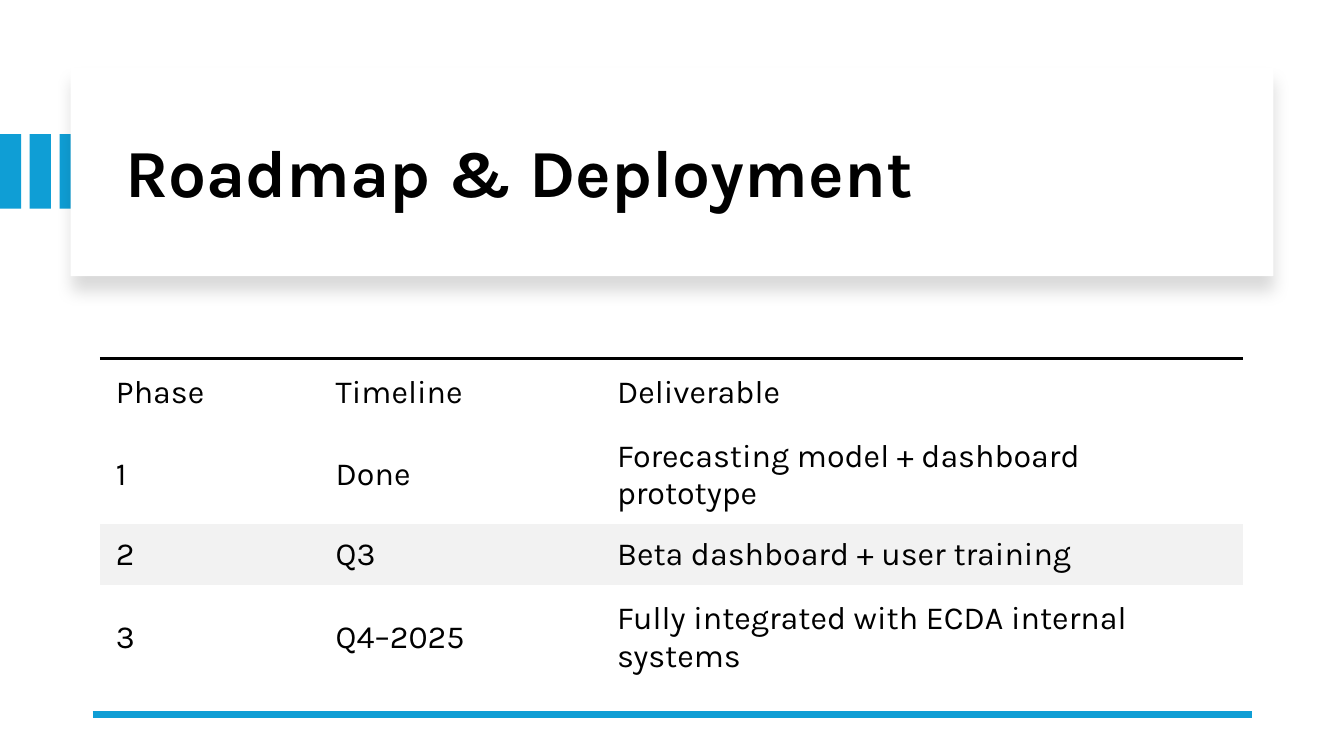
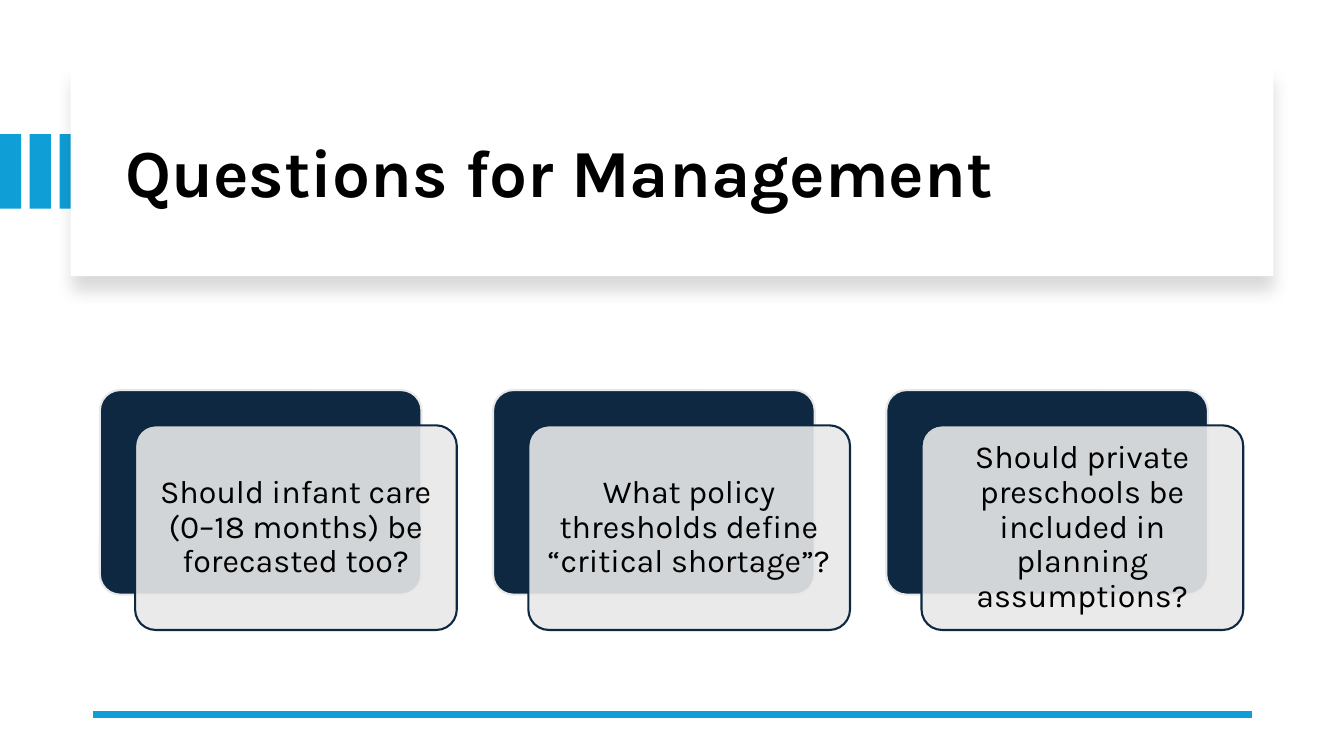
"""Build a roadmap table slide and a management questions slide in one shared frame."""
from lxml.etree import SubElement
from pptx import Presentation
from pptx.dml.color import RGBColor
from pptx.enum.shapes import MSO_CONNECTOR, MSO_SHAPE
from pptx.enum.text import MSO_ANCHOR, MSO_AUTO_SIZE, PP_ALIGN
from pptx.oxml.ns import qn
from pptx.util import Inches, Pt

ROADMAP_TITLE = "Roadmap & Deployment"
ROADMAP = [
    ("Phase", "Timeline", "Deliverable"),
    ("1", "Done", "Forecasting model + dashboard prototype"),
    ("2", "Q3", "Beta dashboard + user training"),
    ("3", "Q4–2025", "Fully integrated with ECDA internal systems"),
]
COLUMN_WIDTHS = (2.18, 2.79, 6.37)
ROW_HEIGHTS = (0.67, 0.67, 0.61, 1.04)
SHADED_ROW = 2

QUESTIONS_TITLE = "Questions for Management"
QUESTIONS = [
    "Should infant care (0–18 months) be forecasted too?",
    "What policy thresholds define “critical shortage”?",
    "Should private preschools be included in planning assumptions?",
]

FONT = "Karla"
BLACK = RGBColor(0x00, 0x00, 0x00)
WHITE = RGBColor(0xFF, 0xFF, 0xFF)
BLUE = RGBColor(0x0F, 0x9E, 0xD5)
NAVY = RGBColor(0x0E, 0x28, 0x41)
CARD_GREY = RGBColor(0xE8, 0xE8, 0xE8)
ROW_GREY = RGBColor(0xF2, 0xF2, 0xF2)

TITLE_SIZE, BODY_SIZE = 48, 23
CONTENT_LEFT = 0.99
STRIPE_COUNT, STRIPE_PITCH = 3, 0.295
CARD_TOP, CARD_PITCH, CARD_OFFSET = 3.87, 3.9, 0.35
CARD_SIZE = (3.19, 2.03)


def add_box(shapes, kind, left, top, width, height, fill, line=None):
    """Add a filled shape without a shadow, outlined only if a line colour is given."""
    box = shapes.add_shape(kind, Inches(left), Inches(top), Inches(width), Inches(height))
    box.shadow.inherit = False
    box.fill.solid()
    box.fill.fore_color.rgb = fill
    if line is None:
        box.line.fill.background()
    else:
        box.line.color.rgb = line
        box.line.width = Pt(1.5)
    return box


def write(frame, text, size, bold=False, align=PP_ALIGN.LEFT, spacing=None):
    """Put one formatted paragraph into a text frame."""
    frame.text = text
    paragraph = frame.paragraphs[0]
    paragraph.alignment = align
    paragraph.line_spacing = spacing
    font = paragraph.runs[0].font
    font.name, font.size, font.bold = FONT, Pt(size), bold
    font.color.rgb = BLACK


def add_soft_shadow(box):
    """Give a panel a faint shadow that falls straight down."""
    effects = box.element.spPr.find(qn("a:effectLst"))
    shadow = SubElement(effects, qn("a:outerShdw"), blurRad=str(Pt(11)), dist=str(Pt(10)),
                        dir="5400000", algn="t", rotWithShape="0")
    color = SubElement(shadow, qn("a:srgbClr"), val=str(BLACK))
    SubElement(color, qn("a:alpha"), val="15000")


def add_page(deck, title_text):
    """Add a slide with stripes, title panel, title and bottom rule."""
    page = deck.slides.add_slide(deck.slide_layouts.get_by_name("Title Only"))
    stripes = page.shapes.add_group_shape()
    for index in range(STRIPE_COUNT):
        add_box(stripes.shapes, MSO_SHAPE.RECTANGLE, index * STRIPE_PITCH, 1.33, 0.21, 0.74, BLUE)
    add_soft_shadow(add_box(page.shapes, MSO_SHAPE.RECTANGLE, 0.7, 0.67, 11.93, 2.07, WHITE))

    title = page.shapes.title
    title.left, title.top = Inches(1.14), Inches(0.89)
    title.width, title.height = Inches(11.13), Inches(1.7)
    title.text_frame.auto_size = MSO_AUTO_SIZE.NONE
    title.text_frame.vertical_anchor = MSO_ANCHOR.MIDDLE
    write(title.text_frame, title_text, TITLE_SIZE, bold=True, spacing=0.9)
    title.element.getparent().append(title.element)

    rule = page.shapes.add_connector(MSO_CONNECTOR.STRAIGHT, Inches(0.92), Inches(7.09),
                                     Inches(12.42), Inches(7.09))
    rule.line.color.rgb = BLUE
    rule.line.width = Pt(4.5)
    SubElement(rule.element.spPr, qn("a:effectLst"))
    return page


def add_top_border(cell):
    """Draw a black line along the top of a table cell."""
    properties = cell._tc.get_or_add_tcPr()
    border = properties.makeelement(qn("a:lnT"), {"w": str(Pt(2.25))})
    fill = SubElement(border, qn("a:solidFill"))
    SubElement(fill, qn("a:srgbClr"), val=str(BLACK))
    properties.insert(0, border)


def add_roadmap(page):
    """Add the roadmap table with a top rule and one shaded row."""
    table = page.shapes.add_table(
        len(ROADMAP), len(COLUMN_WIDTHS), Inches(CONTENT_LEFT), Inches(3.56),
        Inches(sum(COLUMN_WIDTHS)), Inches(sum(ROW_HEIGHTS))).table
    table.first_row = table.horz_banding = False
    style = table._tbl.tblPr.find(qn("a:tableStyleId"))
    style.text = "{2D5ABB26-0587-4C30-8999-92F81FD0307C}"
    for column, width in zip(table.columns, COLUMN_WIDTHS):
        column.width = Inches(width)
    for row_index, (row, height) in enumerate(zip(table.rows, ROW_HEIGHTS)):
        row.height = Inches(height)
        for cell, text in zip(row.cells, ROADMAP[row_index]):
            write(cell.text_frame, text, BODY_SIZE)
            cell.vertical_anchor = MSO_ANCHOR.MIDDLE
            cell.margin_left = cell.margin_right = Inches(0.16)
            cell.margin_top = cell.margin_bottom = Inches(0.11)
            if row_index == SHADED_ROW:
                cell.fill.solid()
                cell.fill.fore_color.rgb = ROW_GREY
            else:
                cell.fill.background()
            if row_index == 0:
                add_top_border(cell)


def add_questions(page):
    """Add one pair of overlapping cards for each question."""
    cards = page.shapes.add_group_shape().shapes
    for index, question in enumerate(QUESTIONS):
        left = CONTENT_LEFT + index * CARD_PITCH
        back = add_box(cards, MSO_SHAPE.ROUNDED_RECTANGLE, left, CARD_TOP, *CARD_SIZE,
                       NAVY, CARD_GREY)
        front = add_box(cards, MSO_SHAPE.ROUNDED_RECTANGLE, left + CARD_OFFSET,
                        CARD_TOP + CARD_OFFSET, *CARD_SIZE, CARD_GREY, NAVY)
        back.adjustments[0] = front.adjustments[0] = 0.1
        color = front.element.spPr.find(qn("a:solidFill")).find(qn("a:srgbClr"))
        SubElement(color, qn("a:alpha"), val="90000")
        frame = front.text_frame
        frame.word_wrap = True
        frame.vertical_anchor = MSO_ANCHOR.MIDDLE
        frame.margin_left = frame.margin_right = Inches(0.1)
        frame.margin_top = frame.margin_bottom = Inches(0.1)
        write(frame, question, BODY_SIZE, align=PP_ALIGN.CENTER, spacing=0.9)


def main():
    """Build and save the deck."""
    deck = Presentation()
    deck.slide_width, deck.slide_height = Inches(13.33), Inches(7.5)
    add_roadmap(add_page(deck, ROADMAP_TITLE))
    add_questions(add_page(deck, QUESTIONS_TITLE))
    deck.save("out.pptx")


if __name__ == "__main__":
    main()
